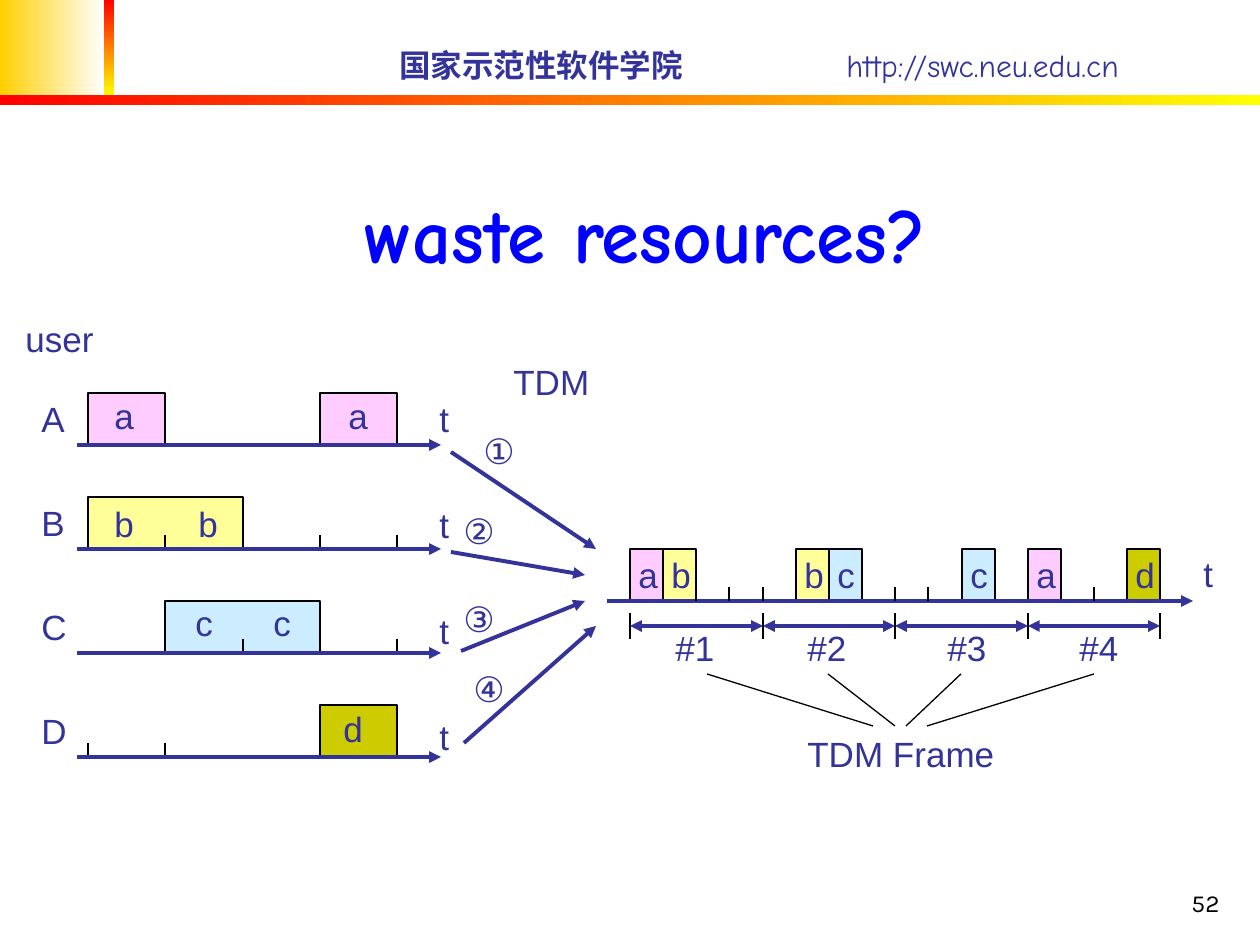
from dataclasses import dataclass

from lxml.etree import SubElement
from pptx import Presentation
from pptx.dml.color import RGBColor
from pptx.enum.shapes import MSO_CONNECTOR, MSO_SHAPE
from pptx.enum.text import MSO_ANCHOR, MSO_AUTO_SIZE, PP_ALIGN
from pptx.oxml.ns import qn
from pptx.util import Emu, Pt

SCALE = 914400 / 126
NAVY, BLACK, BLUE = "333399", "000000", "0000FF"
PINK, YELLOW, SKY, OLIVE = "FFCCFF", "FFFF99", "CCECFF", "CCCC00"
RED, BRIGHT_YELLOW, GOLD, WHITE = "FF0000", "FFFF00", "FFCF01", "FFFFFF"
BLOCK_HEIGHT, TICK_HEIGHT = 52, 14
USER_LEFT, USER_SLOT = 88, 77.33
FRAME_LEFT, FRAME_SLOT, FRAME_SLOTS = 630, 33.15, 4
FRAME_BASE, FRAME_ARROW = 601, 626


@dataclass(frozen=True)
class User:
    name: str
    letter: str
    color: str
    blocks: list[tuple[int, int]]
    letters: list[int]
    letter_top: int
    ticks: list[int]


@dataclass(frozen=True)
class Route:
    label: str
    label_at: tuple[int, int]
    start: tuple[int, int]
    end: tuple[int, int]


USERS = [
    User("A", "a", PINK, [(0, 1), (3, 1)], [102, 336], 388, []),
    User("B", "b", YELLOW, [(0, 2)], [102, 186], 496, [1, 3, 4]),
    User("C", "c", SKY, [(1, 2)], [183, 261], 595, [2, 4]),
    User("D", "d", OLIVE, [(3, 1)], [331], 701, [0, 1, 3]),
]
ROUTES = [
    Route("①", (471, 423), (451, 452), (596, 549)),
    Route("②", (451, 503), (451, 552), (585, 575)),
    Route("③", (451, 591), (461, 651), (585, 601)),
    Route("④", (461, 661), (464, 743), (596, 626)),
]
SENT = [(0, "a"), (1, "b"), (5, "b"), (6, "c"), (10, "c"), (12, "a"), (15, "d")]
FRAME_TICKS = [2, 3, 4, 8, 9, 14]
FRAMES = [("#1", 663), ("#2", 795), ("#3", 935), ("#4", 1067)]
LEADERS = [
    ((707, 674), (873, 726)),
    ((828, 674), (895, 726)),
    ((961, 674), (906, 726)),
    ((1094, 674), (927, 726)),
]

deck = Presentation()
deck.slide_width, deck.slide_height = Emu(9144000), Emu(6858000)
page = deck.slides.add_slide(deck.slide_layouts[6])


def px(length: float) -> Emu:
    return Emu(round(length * SCALE))


def rgb(color: str) -> RGBColor:
    return RGBColor.from_string(color)


def user_x(slot: int) -> int:
    return round(USER_LEFT + slot * USER_SLOT)


def frame_x(slot: int) -> int:
    return round(FRAME_LEFT + slot * FRAME_SLOT)


def add_band(left: int, top: int, width: int, height: int, first: str, last: str, angle: int = 0) -> None:
    band = page.shapes.add_shape(MSO_SHAPE.RECTANGLE, px(left), px(top), px(width), px(height))
    band.shadow.inherit = False
    band.line.fill.background()
    band.fill.gradient()
    band.fill.gradient_angle = angle
    for stop, color in zip(band.fill.gradient_stops, (first, last)):
        stop.color.rgb = rgb(color)


def add_span(para, text: str, *, size: int, font: str, color: str, bold: bool) -> None:
    span = para.add_run()
    span.text = text
    span.font.size = Pt(size)
    span.font.name = font
    span.font.bold = bold
    span.font.color.rgb = rgb(color)


def add_text(text: str, left: int, top: int, width: int, height: int = 54, *, size: int = 20,
             font: str = "Arial", color: str = NAVY, bold: bool = False, wrap: bool = False,
             align: PP_ALIGN = PP_ALIGN.LEFT, anchor: MSO_ANCHOR = MSO_ANCHOR.TOP):
    box = page.shapes.add_textbox(px(left), px(top), px(width), px(height))
    frame = box.text_frame
    frame.word_wrap = wrap
    frame.auto_size = MSO_AUTO_SIZE.NONE if wrap else MSO_AUTO_SIZE.SHAPE_TO_FIT_TEXT
    frame.vertical_anchor = anchor
    para = frame.paragraphs[0]
    para.alignment = align
    add_span(para, text, size=size, font=font, color=color, bold=bold)
    return para


def add_line(start: tuple[int, int], end: tuple[int, int], *, color: str = BLACK,
             width: float = 0.75, head: bool = False, tail: bool = False) -> None:
    line = page.shapes.add_connector(MSO_CONNECTOR.STRAIGHT, *map(px, start + end))
    line.line.color.rgb = rgb(color)
    line.line.width = Pt(width)
    outline = line.line._get_or_add_ln()
    for tag, wanted in (("a:headEnd", head), ("a:tailEnd", tail)):
        if wanted:
            SubElement(outline, qn(tag), type="triangle")
    SubElement(line._element.spPr, qn("a:effectLst"))


def add_arrow(start: tuple[int, int], end: tuple[int, int], head: bool = False) -> None:
    add_line(start, end, color=NAVY, width=2.25, head=head, tail=True)


def add_tick(x: int, base: int) -> None:
    add_line((x, base - TICK_HEIGHT), (x, base))


def add_block(left: int, right: int, base: int, color: str) -> None:
    top = base - BLOCK_HEIGHT
    builder = page.shapes.build_freeform(left, base, SCALE)
    builder.add_line_segments([(left, top), (right, top), (right, base)], close=False)
    block = builder.convert_to_shape()
    block.shadow.inherit = False
    block.fill.solid()
    block.fill.fore_color.rgb = rgb(color)
    block.line.color.rgb = rgb(BLACK)
    block.line.width = Pt(0.75)


def draw_header() -> None:
    add_band(0, 0, 105, 96, GOLD, WHITE)
    add_band(104, 0, 10, 96, RED, BRIGHT_YELLOW, 270)
    add_band(0, 95, 1260, 10, RED, BRIGHT_YELLOW)
    para = add_text("国家示范性软件学院", 387, 40, 844, 50, size=18, font="Comic Neue", bold=True,
                    wrap=True, anchor=MSO_ANCHOR.MIDDLE)
    stops = SubElement(para._p.get_or_add_pPr(), qn("a:tabLst"))
    SubElement(stops, qn("a:tab"), pos=str(px(447)), algn="l")
    add_span(para, "\thttp://swc.neu.edu.cn", size=18, font="Comic Neue", color=NAVY, bold=False)
    add_text("52", 970, 861, 262, 63, size=14, font="Karla", color=BLACK, wrap=True,
             align=PP_ALIGN.RIGHT, anchor=MSO_ANCHOR.BOTTOM)
    add_text("waste resources?", 50, 83, 1191, 202, size=44, font="Comic Neue", color=BLUE,
             bold=True, wrap=True, align=PP_ALIGN.CENTER, anchor=MSO_ANCHOR.BOTTOM)


def draw_user(row: int, user: User) -> None:
    base = 445 + 104 * row
    for slot, count in user.blocks:
        add_block(user_x(slot), user_x(slot + count), base, user.color)
    for slot in user.ticks:
        add_tick(user_x(slot), base)
    for left in user.letters:
        add_text(user.letter, left, user.letter_top, 45)
    add_text(user.name, 29, base - 54, 49)
    add_text("t", 427, 391 + 106 * row, 35)
    add_arrow((77, base), (441, base))


def draw_frames() -> None:
    colors = {user.letter: user.color for user in USERS}
    for slot, letter in SENT:
        add_block(frame_x(slot), frame_x(slot + 1), FRAME_BASE, colors[letter])
    add_arrow((607, FRAME_BASE), (1193, FRAME_BASE))
    for slot, letter in SENT:
        add_text(letter, frame_x(slot) - 4, 547, 45)
    for slot in FRAME_TICKS:
        add_tick(frame_x(slot), FRAME_BASE)
    for index in range(len(FRAMES) + 1):
        edge = frame_x(index * FRAME_SLOTS)
        add_line((edge, FRAME_ARROW - 13), (edge, FRAME_ARROW + 13))
    for index, (label, left) in enumerate(FRAMES):
        start, end = (frame_x((index + step) * FRAME_SLOTS) for step in (0, 1))
        add_arrow((start, FRAME_ARROW), (end, FRAME_ARROW), head=True)
        add_text(label, left, 620, 64)
    for start, end in LEADERS:
        add_line(start, end)
    add_text("t", 1191, 546, 35)
    add_text("TDM Frame", 795, 726, 214)


draw_header()
add_text("user", 13, 311, 94)
add_text("TDM", 501, 354, 102)
for row, user in enumerate(USERS):
    draw_user(row, user)
for route in ROUTES:
    add_arrow(route.start, route.end)
    add_text(route.label, *route.label_at, 60)
draw_frames()
deck.save("out.pptx")
